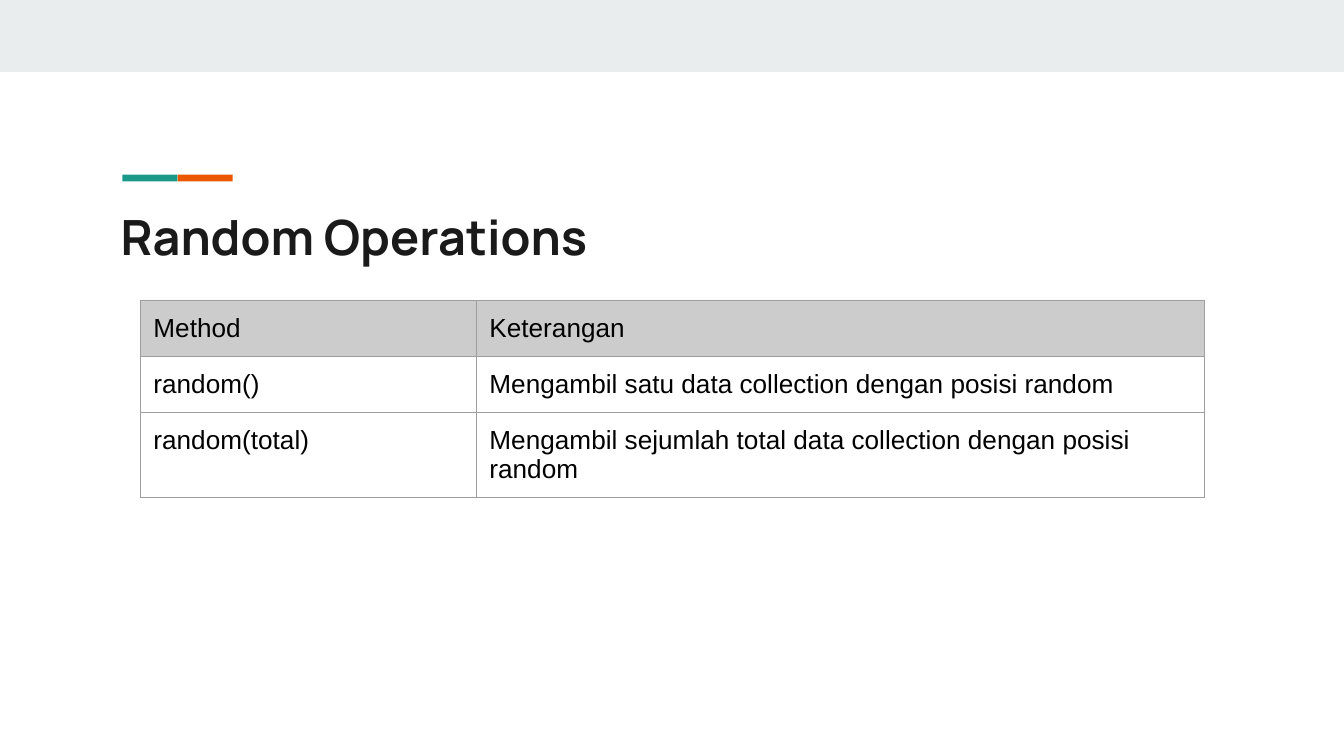
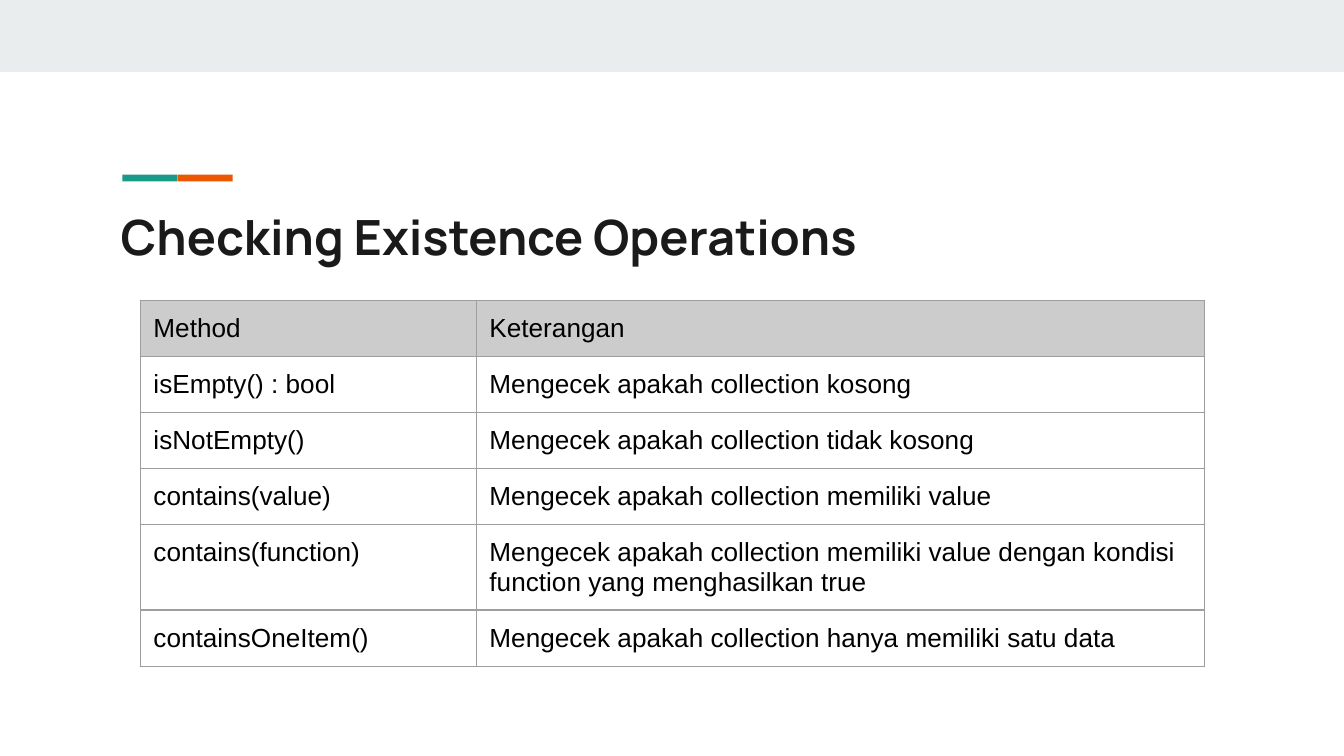
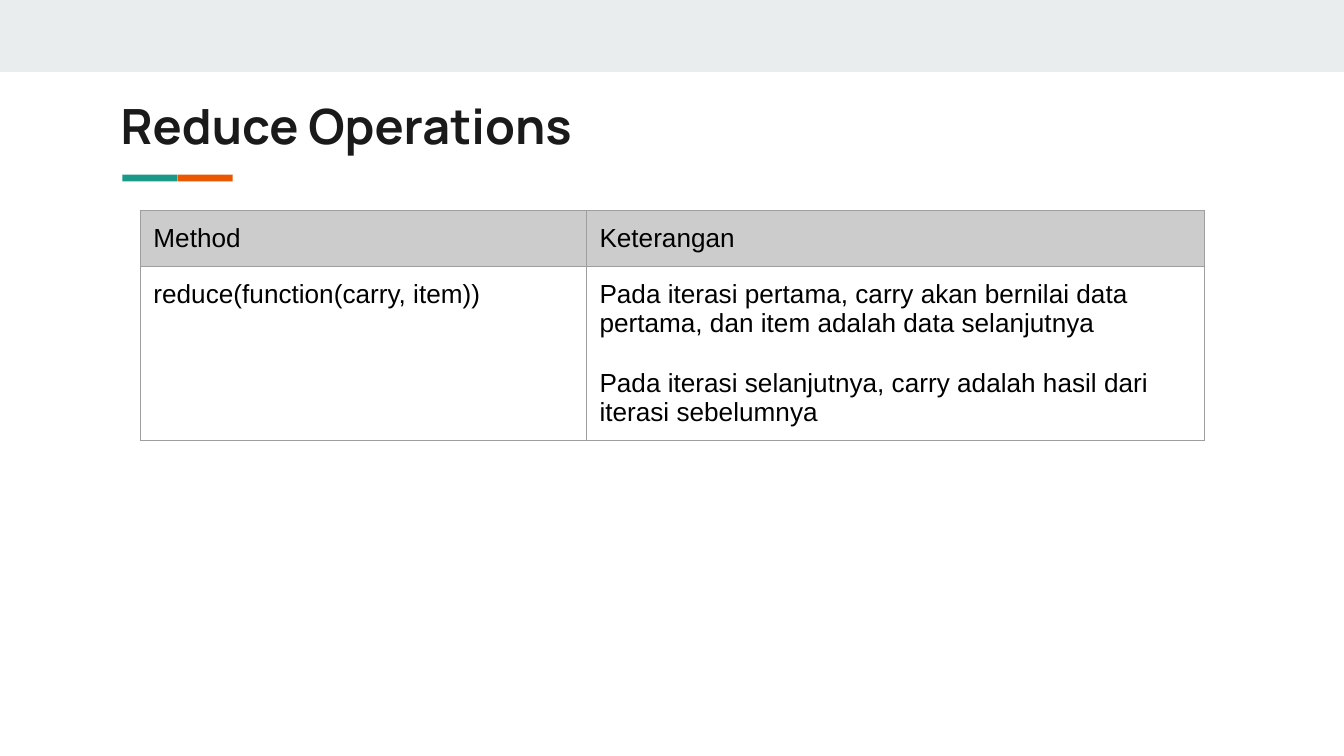
from lxml.etree import SubElement
from pptx import Presentation
from pptx.dml.color import RGBColor
from pptx.enum.shapes import MSO_SHAPE
from pptx.enum.text import MSO_ANCHOR, MSO_AUTO_SIZE, PP_ALIGN
from pptx.oxml.ns import qn
from pptx.util import Cm, Pt

BAND, ORANGE, GREEN = "E9EDEE", "EB5600", "1A9988"
TITLE_INK, TABLE_INK = "1A1A1A", "000000"
HEADER_FILL, BORDER = "CCCCCC", "9E9E9E"
INSET = Cm(0.25)
ROW_HEIGHT = Cm(1.06)
HEADER = ("Method", "Keterangan")


def color(hex_value):
    return RGBColor.from_string(hex_value)


def format_text(holder, frame, font_name, size, hex_value, bold):
    for side in ("left", "top", "right", "bottom"):
        setattr(holder, f"margin_{side}", INSET)
    for para in frame.paragraphs:
        para.alignment = PP_ALIGN.LEFT
        for span in para.runs:
            span.font.name = font_name
            span.font.size = Pt(size)
            span.font.bold = bold
            span.font.color.rgb = color(hex_value)


slides = [
    ("Random Operations", 3.66, 5.68, (6.35, 13.76), [
        ("random()", "Mengambil satu data collection dengan posisi random"),
        ("random(total)", "Mengambil sejumlah total data collection dengan posisi random"),
    ]),
    ("Checking Existence Operations", 3.66, 5.68, (6.35, 13.76), [
        ("isEmpty() : bool", "Mengecek apakah collection kosong"),
        ("isNotEmpty()", "Mengecek apakah collection tidak kosong"),
        ("contains(value)", "Mengecek apakah collection memiliki value"),
        ("contains(function)",
         "Mengecek apakah collection memiliki value dengan kondisi function yang menghasilkan true"),
        ("containsOneItem()", "Mengecek apakah collection hanya memiliki satu data"),
    ]),
    ("Reduce Operations", 1.57, 3.98, (8.43, 11.68), [
        ("reduce(function(carry, item))",
         "Pada iterasi pertama, carry akan bernilai data pertama, dan item adalah data selanjutnya\n"
         "Pada iterasi selanjutnya, carry adalah hasil dari iterasi sebelumnya"),
    ]),
]

deck = Presentation()
deck.slide_width = Cm(25.4)
deck.slide_height = Cm(14.29)
layout = deck.slide_layouts[5]
for placeholder in list(layout.placeholders)[1:]:
    layout.shapes.element.remove(placeholder.element)

pages = [deck.slides.add_slide(layout) for _ in slides]

band = pages[0].shapes.add_shape(MSO_SHAPE.RECTANGLE, 0, 0, deck.slide_width, Cm(1.36))
accent = pages[0].shapes.add_group_shape()
orange_bar, green_bar = [
    accent.shapes.add_shape(MSO_SHAPE.RECTANGLE, Cm(left), Cm(2), Cm(0.07), Cm(1.48))
    for left in (4.28, 2.8)]
for bar, fill in ((band, BAND), (orange_bar, ORANGE), (green_bar, GREEN)):
    bar.shadow.inherit = False
    bar.fill.solid()
    bar.fill.fore_color.rgb = color(fill)
    bar.line.fill.background()
for bar in (orange_bar, green_bar):
    bar.rotation = 270
accent.left, accent.top = Cm(2.81), Cm(2.02)
accent.width, accent.height = Cm(1.09), Cm(2.69)
for position, shared in enumerate((band, accent), start=2):
    layout.shapes.element.insert(position, shared.element)

for page, (heading, title_top, table_top, widths, methods) in zip(pages, slides):
    title = page.shapes.title
    title.left, title.top = Cm(2.03), Cm(title_top)
    title.width, title.height = Cm(21.36), Cm(1.5)
    frame = title.text_frame
    frame.text = heading
    frame.word_wrap = True
    frame.auto_size = MSO_AUTO_SIZE.NONE
    frame.vertical_anchor = MSO_ANCHOR.TOP
    format_text(frame, frame, "Manrope", 26, TITLE_INK, True)

    rows = [HEADER] + methods
    table = page.shapes.add_table(
        len(rows), len(HEADER), Cm(2.65), Cm(table_top),
        Cm(sum(widths)), ROW_HEIGHT * len(rows)).table
    table.first_row = False
    table.horz_banding = False
    for column, width in zip(table.columns, widths):
        column.width = Cm(width)

    for row_index, row in enumerate(rows):
        table.rows[row_index].height = ROW_HEIGHT
        for column_index, text in enumerate(row):
            cell = table.cell(row_index, column_index)
            cell.text_frame.text = text
            format_text(cell, cell.text_frame, "Arial", 14, TABLE_INK, False)
            for para in cell.text_frame.paragraphs[1:]:
                para.space_before = Pt(16)
            properties = cell._tc.get_or_add_tcPr()
            for edge in ("a:lnL", "a:lnR", "a:lnT", "a:lnB"):
                line = SubElement(properties, qn(edge), w=str(Pt(0.75)))
                line_fill = SubElement(line, qn("a:solidFill"))
                SubElement(line_fill, qn("a:srgbClr"), val=BORDER)
            if row_index == 0:
                cell.fill.solid()
                cell.fill.fore_color.rgb = color(HEADER_FILL)
            else:
                cell.fill.background()

deck.save("out.pptx")
